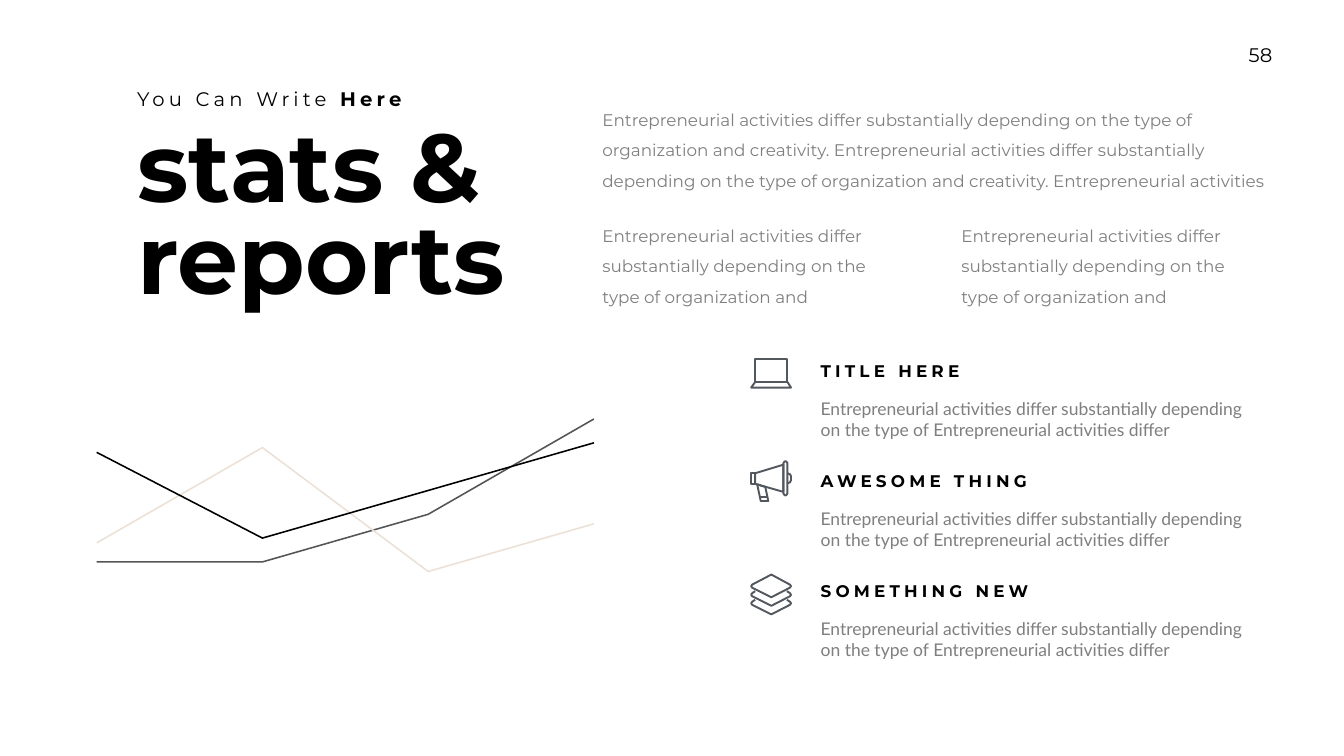
from lxml.etree import SubElement
from pptx import Presentation
from pptx.chart.data import XyChartData
from pptx.dml.color import RGBColor
from pptx.enum.chart import XL_CHART_TYPE
from pptx.enum.text import MSO_AUTO_SIZE
from pptx.oxml import parse_xml
from pptx.oxml.ns import nsdecls, qn
from pptx.util import Inches, Pt

WIDE, HIGH = 26.66, 15
BLACK, GREY, SLATE = "000000", "7F7F7F", "53585F"
HEAD, BODY = "Montserrat", "Lato"

LEFT, MID, RIGHT = 2.62, 11.85, 18.97
SHORT = "Entrepreneurial activities differ substantially depending on the type of organization and"
LONG = (SHORT + " creativity. ") * 2 + "Entrepreneurial activities"
NOTE = ("Entrepreneurial activities differ substantially depending "
        "on the type of Entrepreneurial activities differ")
PARAS = [  # text, left, top, width
    (LONG, MID, 1.93, 13.47),
    (SHORT, MID, 4.23, 5.79),
    (SHORT, RIGHT, 4.23, 5.79),
]

# Icon strokes: (closed, points), in hundredths of an inch
LAPTOP = [
    (True, [(9.5, 2), (73.5, 2), (73.5, 47), (9.5, 47)]),
    (True, [(9.5, 47), (73.5, 47), (81, 58), (2, 58)]),
]
HORN = [
    (True, [(10, 25.5), (66, 9), (66, 63), (10, 47)]),
    (True, [(2, 25), (10, 25), (10, 47), (2, 47)]),
    (True, [(66, 6), (67.5, 3), (70, 2), (72.5, 3), (74, 6),
            (74, 66), (72.5, 69), (70, 70), (67.5, 69), (66, 66)]),
    (False, [(74, 26.5), (79, 28), (81, 32), (81, 40), (79, 44), (74, 45.5)]),
    (True, [(14, 48), (30, 53), (36, 81), (21, 81)]),
    (False, [(19.5, 74), (34, 74)]),
]
CHEVRON = [(10, 18), (4, 22), (2, 25), (4, 28), (41.5, 47),
           (79, 28), (81, 25), (79, 22), (73, 18)]
LAYERS = [(True, [(41.5, 2)] + CHEVRON[1:-1])] + [
    (False, [(x, y + drop) for x, y in CHEVRON]) for drop in (17, 34)]

ITEMS = [  # title, icon, icon top
    ("TITLE HERE", LAPTOP, 7.11),
    ("AWESOME THING", HORN, 9.13),
    ("SOMETHING NEW", LAYERS, 11.38),
]
ICON_X, ITEM_X, ITEM_Y, STEP, DROP = 14.88, 16.18, 7.11, 2.185, 0.73

CURVES = [
    ("Series 1", BLACK, [86, 50, 70, 90]),
    ("Series 2", "ECE1D7", [48, 88, 36, 56]),
    ("Series 3", "545557", [40, 40, 60, 100]),
]


def color(code):
    return RGBColor.from_string(code)


def style(run, size, face, code, bold=False, gap=0):
    font = run.font
    font.size, font.name, font.bold = Pt(size), face, bold
    font.color.rgb = color(code)
    if gap:
        run._r.get_or_add_rPr().set("spc", str(gap * 100))


def write(slide, text, box, size, face, code, bold=False, gap=0, lead=None):
    shape = slide.shapes.add_textbox(*map(Inches, box))
    frame = shape.text_frame
    frame.word_wrap = True
    frame.auto_size = MSO_AUTO_SIZE.SHAPE_TO_FIT_TEXT
    frame.text = text
    for para in frame.paragraphs:
        if lead:
            para.line_spacing = lead
        for run in para.runs:
            style(run, size, face, code, bold, gap)
    return frame


def draw(slide, strokes, left, top):
    """Draw all strokes of an icon as one outline shape."""
    build = slide.shapes.build_freeform(*strokes[0][1][0], scale=Inches(0.01))
    for closed, points in strokes:
        build.move_to(*points[0])
        build.add_line_segments(points[1:], close=closed)
    icon = build.convert_to_shape(Inches(left), Inches(top))
    icon.shadow.inherit = False
    icon.fill.background()
    icon.line.color.rgb = color(SLATE)
    icon.line.width = Pt(2.75)
    SubElement(icon.line._get_or_add_ln(), qn("a:round"))


def plot(slide):
    data = XyChartData()
    for name, _, vals in CURVES:
        row = data.add_series(name)
        for x, y in enumerate(vals, 1):
            row.add_data_point(x, y)
    box = map(Inches, (0, 7.25, 13.7, 5.91))
    chart = slide.shapes.add_chart(
        XL_CHART_TYPE.XY_SCATTER_SMOOTH_NO_MARKERS, *box, data).chart
    chart.has_legend = chart.has_title = False
    chart.font.size, chart.font.name = Pt(10), BODY
    chart.font.color.rgb = color(GREY)
    spans = (chart.category_axis, 0.5, 4.5), (chart.value_axis, 0, 120)
    for axis, low, high in spans:
        axis.minimum_scale, axis.maximum_scale = low, high
        axis.has_major_gridlines = False
        axis.visible = False
    group = chart.plots[0]
    group.vary_by_categories = False
    for line, (_, code, _) in zip(group.series, CURVES):
        line.smooth = True
        line.format.line.color.rgb = color(code)
        line.format.line.width = Pt(2.25)
    area = chart._chartSpace.chart.plotArea
    for old in area.findall(qn("c:layout")):
        area.remove(old)
    area.insert(0, parse_xml(
        f'<c:layout {nsdecls("c")}><c:manualLayout>'
        '<c:layoutTarget val="inner"/><c:xMode val="edge"/><c:yMode val="edge"/>'
        '<c:x val="0.02"/><c:y val="0.02"/><c:w val="0.96"/><c:h val="0.96"/>'
        '</c:manualLayout></c:layout>'))


def main():
    deck = Presentation()
    deck.slide_width, deck.slide_height = Inches(WIDE), Inches(HIGH)
    slide = deck.slides.add_slide(deck.slide_layouts[6])

    page = write(slide, "58", (24.57, 0.76, 1.12, 0.67), 28, HEAD, BLACK)
    page.margin_left = page.margin_right = Inches(0.2)
    page.margin_top = page.margin_bottom = Inches(0.1)

    lead = write(slide, "You Can Write ", (LEFT, 1.67, 6.77, 0.57),
                 28, HEAD, BLACK, gap=6)
    run = lead.paragraphs[0].add_run()
    run.text = "Here"
    style(run, 28, HEAD, BLACK, True, 6)
    write(slide, "stats &\nreports", (LEFT, 2.54, 9.23, 3.78),
          138, HEAD, BLACK, True, lead=Pt(130.6))

    for text, left, top, width in PARAS:
        write(slide, text, (left, top, width, 1.92), 24, HEAD, GREY, lead=1.5)

    for i, (title, icon, top) in enumerate(ITEMS):
        y = ITEM_Y + i * STEP
        write(slide, title, (ITEM_X, y, 5, 0.5), 24, HEAD, BLACK, True, 6)
        write(slide, NOTE, (ITEM_X, y + DROP, 8.58, 0.94), 25, BODY, GREY)
        draw(slide, icon, ICON_X, top)

    plot(slide)
    deck.save("out.pptx")


if __name__ == "__main__":
    main()
